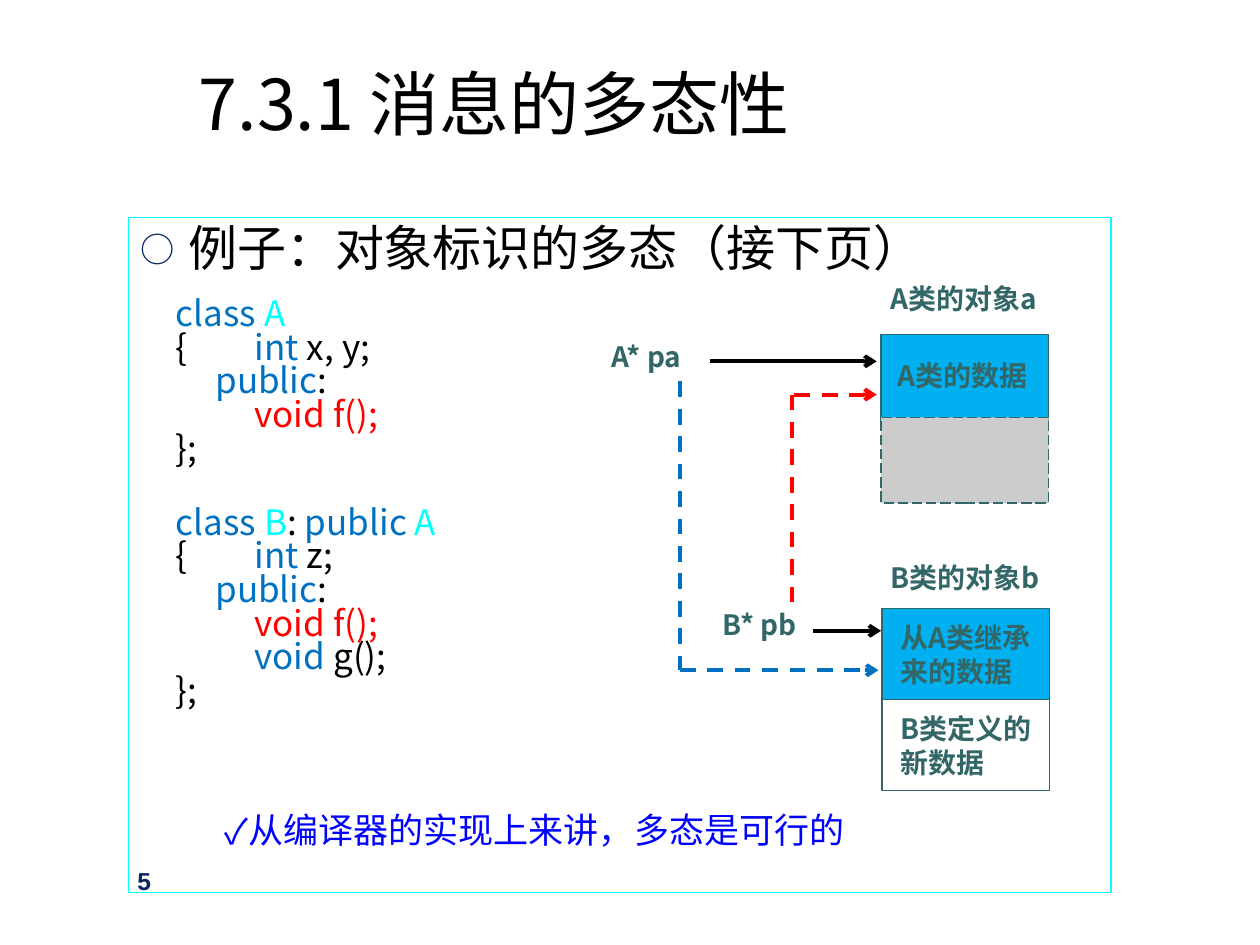
from pptx import Presentation
from pptx.util import Pt
from pptx.dml.color import RGBColor as RGB
from pptx.enum.dml import MSO_LINE as Dash
from pptx.enum.shapes import MSO_SHAPE as Shape, MSO_CONNECTOR as Conn
from pptx.enum.text import MSO_ANCHOR as Anchor, PP_ALIGN as Align
from pptx.oxml.ns import qn
from lxml.etree import SubElement as Sub

HUES = {
    "ink": "000000", "blue": "0070C0", "cyan": "00FFFF", "red": "FF0000",
    "teal": "336666", "sky": "00B0F0", "gray": "CCCCCC",
    "navy": "05255E", "note": "0000FF",
}
SANS = "Noto Sans CJK SC"


class Page:
    def __init__(self, slide):
        self.slide = slide

    def hue(self, key):
        return RGB.from_string(HUES[key])

    def run(self, para, text, size, hue="ink", bold=False, face=SANS):
        run = para.add_run()
        run.text = text
        font = run.font
        font.size, font.bold, font.name = Pt(size), bold, face
        font.color.rgb = self.hue(hue)
        Sub(run._r.get_or_add_rPr(), qn("a:ea"), typeface=face)

    def indent(self, para, left, first, mark=None, hue=None, scale=100):
        props = para._p.get_or_add_pPr()
        props.set("marL", str(Pt(left)))
        props.set("indent", str(Pt(first)))
        if mark:
            if hue:
                tint = Sub(props, qn("a:buClr"))
                Sub(tint, qn("a:srgbClr"), val=HUES[hue])
            Sub(props, qn("a:buSzPct"), val=str(scale * 1000))
            Sub(props, qn("a:buFont"), typeface=SANS)
            Sub(props, qn("a:buChar"), char=mark)

    def text(self, x, y, w, h):
        frame = self.slide.shapes.add_textbox(Pt(x), Pt(y), Pt(w), Pt(h)).text_frame
        frame.word_wrap = True
        return frame

    def label(self, x, y, w, h, text):
        self.run(self.text(x, y, w, h).paragraphs[0], text, 16, "teal", True)

    def rect(self, x, y, w, h, fill=None, edge="teal", dash=None):
        box = self.slide.shapes.add_shape(Shape.RECTANGLE, Pt(x), Pt(y), Pt(w), Pt(h))
        box.shadow.inherit = False
        if fill:
            box.fill.solid()
            box.fill.fore_color.rgb = self.hue(fill)
        else:
            box.fill.background()
        box.line.color.rgb = self.hue(edge)
        box.line.width = Pt(0.75)
        if dash:
            box.line.dash_style = dash
        return box

    def line(self, x1, y1, x2, y2, hue="ink", dash=None, arrow=True):
        link = self.slide.shapes.add_connector(
            Conn.STRAIGHT, Pt(x1), Pt(y1), Pt(x2), Pt(y2))
        link.line.color.rgb = self.hue(hue)
        link.line.width = Pt(2.25)
        if dash:
            link.line.dash_style = dash
        if arrow:
            Sub(link.line._get_or_add_ln(), qn("a:tailEnd"), type="arrow")
        Sub(link._element.spPr, qn("a:effectLst"))


# Code lines: space before, then (text, colour) runs
TAB = "\t     "
CODE = [
    (13, [("class ", "blue"), ("A", "cyan")]),
    (0, [("{" + TAB, "ink"), ("int", "blue"), (" x, y;", "ink")]),
    (0, [("\t", "ink"), ("public", "blue"), (":", "ink")]),
    (0, [(TAB, "ink"), ("void f();", "red")]),
    (0, [("};", "ink")]),
    (23.2, [("class ", "blue"), ("B", "cyan"), (": ", "ink"),
            ("public ", "blue"), ("A", "cyan")]),
    (0, [("{" + TAB, "ink"), ("int", "blue"), (" z;", "ink")]),
    (0, [("\t", "ink"), ("public", "blue"), (":", "ink")]),
    (0, [(TAB, "ink"), ("void f();", "red")]),
    (0, [(TAB, "ink"), ("void", "blue"), (" g();", "ink")]),
    (0, [("};", "ink")]),
]


def main():
    deck = Presentation()
    deck.slide_width, deck.slide_height = Pt(720), Pt(540)
    page = Page(deck.slides.add_slide(deck.slide_layouts[6]))

    # Body: heading and code
    frame = page.rect(73.5, 124.5, 561.5, 385.5, edge="cyan").text_frame
    frame.word_wrap = True
    frame.vertical_anchor = Anchor.TOP
    head = frame.paragraphs[0]
    head.alignment, head.line_spacing = Align.LEFT, 0.9
    page.indent(head, 27, -27, "○", "navy", 70)
    page.run(head, "例子：对象标识的多态（接下页）", 28)
    for gap, parts in CODE:
        para = frame.add_paragraph()
        para.alignment, para.line_spacing = Align.LEFT, 0.8
        para.space_before = Pt(gap)
        page.indent(para, 42.5, -22.5)
        for text, hue in parts:
            page.run(para, text, 20, hue)

    # Title
    title = page.text(106.5, -1.5, 552, 120)
    title.vertical_anchor = Anchor.MIDDLE
    page.run(title.paragraphs[0], "7.3.1 消息的多态性", 40)

    # Object a: own data above an empty part
    left, wide, high = 503.5, 95.75, 52
    page.rect(left, 191, wide, high, "sky")
    page.rect(left, 238.5, wide, 49, "gray", dash=Dash.LONG_DASH)
    page.label(506, 201.5, 95, 26.5, "A类的数据")

    # Object b: inherited data above new data
    for row, (fill, text) in enumerate([("sky", "从A类继承来的数据"),
                                        (None, "B类定义的新数据")]):
        top = 347.75 + row * high
        page.rect(left + 0.5, top, wide, high, fill)
        page.label(507.5, top + 3.25, 95, 46, text)

    # Object and pointer names
    page.label(502, 157.5, 113, 26.5, "A类的对象a")
    page.label(502, 317, 113, 26.5, "B类的对象b")
    page.label(342.5, 190.5, 79, 26.5, "A* pa")
    page.label(405.5, 343.5, 70.5, 26.5, "B* pb")

    # Direct pointers, then the crossed ones
    page.line(405.5, 206.5, 501, 206.5)
    page.line(464.5, 360.5, 503.5, 360.5)
    page.line(452.5, 225.5, 452.5, 346, "red", Dash.DASH, False)
    page.line(454, 225.5, 501, 225.5, "red", Dash.DASH)
    page.line(388.5, 218, 388.5, 383, "blue", Dash.DASH, False)
    page.line(388.5, 383, 502, 383, "blue", Dash.DASH)

    # Closing note
    note = page.text(77, 463, 421, 26.5).paragraphs[0]
    note.alignment, note.line_spacing = Align.CENTER, 0.8
    page.indent(note, 36, 0, "✓")
    page.run(note, "从编译器的实现上来讲，多态是可行的", 20, "note")

    # Page number
    foot = page.text(71.5, 491.5, 150, 36).paragraphs[0]
    page.run(foot, "5", 14, "navy", True, "Arial")

    deck.save("out.pptx")


if __name__ == "__main__":
    main()
